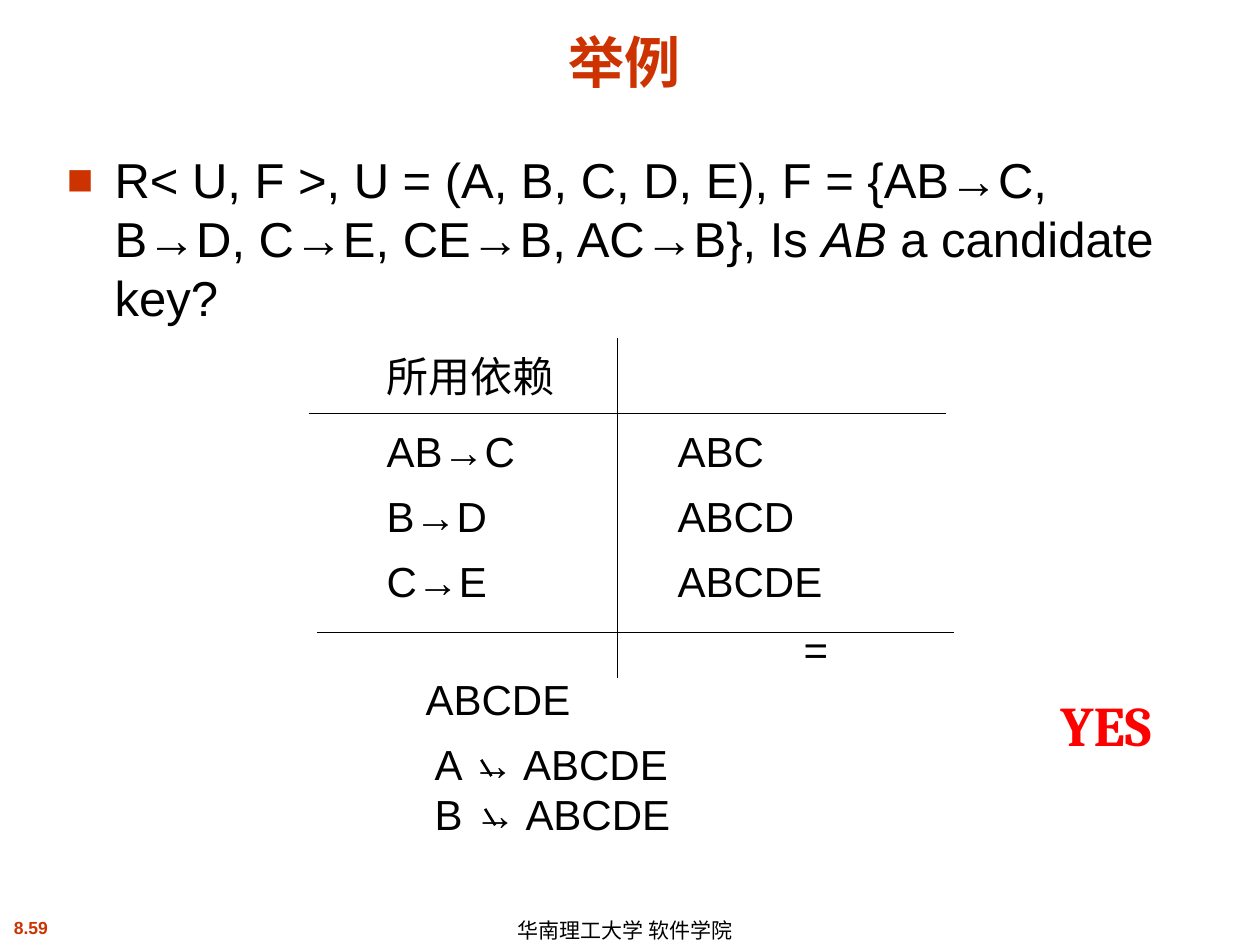
from lxml import etree
from pptx import Presentation
from pptx import util as u
from pptx.dml.color import RGBColor
from pptx.enum import shapes, text
from pptx.oxml.ns import qn

COLORS = {"accent": "CC3300", "ink": "000000", "answer": "FF0000"}


def color(name):
    return RGBColor.from_string(COLORS[name])


def place(shape, left, top, width, height):
    shape.left, shape.top = u.Inches(left), u.Inches(top)
    shape.width, shape.height = u.Inches(width), u.Inches(height)


def add_run(paragraph, words, size, ink="ink", font="Arial", bold=False, italic=False):
    run = paragraph.add_run()
    run.text = words
    run.font.size = u.Pt(size)
    run.font.name = font
    run.font.bold = bold
    run.font.italic = italic
    run.font.color.rgb = color(ink)


def set_indent(paragraph, left, first):
    properties = paragraph._p.get_or_add_pPr()
    properties.set("marL", str(u.Inches(left)))
    properties.set("indent", str(u.Inches(first)))
    return properties


def add_bullet(paragraph):
    properties = set_indent(paragraph, 0.38, -0.38)
    bullet_color = etree.SubElement(properties, qn("a:buClr"))
    etree.SubElement(bullet_color, qn("a:srgbClr"), val=COLORS["accent"])
    etree.SubElement(properties, qn("a:buSzPct"), val="90000")
    etree.SubElement(properties, qn("a:buFont"), typeface="Arial")
    etree.SubElement(properties, qn("a:buChar"), char="■")


def add_text_box(slide, bounds, lines, size, wrap=True, **style):
    """Add a text box with one paragraph per line and return its text frame."""
    frame = slide.shapes.add_textbox(*map(u.Inches, bounds)).text_frame
    frame.word_wrap = wrap
    for index, line in enumerate(lines):
        paragraph = frame.add_paragraph() if index else frame.paragraphs[0]
        add_run(paragraph, line, size, **style)
    return frame


def add_line(slide, start, end, width=0.75):
    points = [u.Inches(value) for value in (*start, *end)]
    connector = slide.shapes.add_connector(shapes.MSO_CONNECTOR.STRAIGHT, *points)
    connector.line.color.rgb = color("ink")
    connector.line.width = u.Pt(width)
    etree.SubElement(connector._element.spPr, qn("a:effectLst"))


def add_footer(slide):
    number = add_text_box(slide, (0, 7.23, 0.49, 0.27), ["8.59"], 10,
                          wrap=False, ink="accent", bold=True)
    number.paragraphs[0].alignment = text.PP_ALIGN.CENTER
    school = add_text_box(slide, (4.01, 7.25, 2.24, 0.25),
                          ["华南理工大学 软件学院"], 12, wrap=False)
    school.vertical_anchor = text.MSO_ANCHOR.MIDDLE
    school.paragraphs[0].line_spacing = 1.1


def fill_title(slide):
    title = slide.shapes.title
    place(title, 0.25, 0.13, 9.42, 0.67)
    title.text_frame.auto_size = text.MSO_AUTO_SIZE.NONE
    title.text_frame.vertical_anchor = text.MSO_ANCHOR.BOTTOM
    paragraph = title.text_frame.paragraphs[0]
    paragraph.alignment = text.PP_ALIGN.CENTER
    add_run(paragraph, "举例", 32, "accent", bold=True)


def fill_question(slide):
    body = slide.placeholders[1]
    place(body, 0.43, 1.14, 8.99, 1.07)
    body.text_frame.auto_size = text.MSO_AUTO_SIZE.NONE
    paragraph = body.text_frame.paragraphs[0]
    add_bullet(paragraph)
    paragraph.space_before = u.Pt(0)
    add_run(paragraph, "R< U, F >, U = (A, B, C, D, E), F = {AB→C, "
                       "B→D, C→E, CE→B, AC→B}, Is ", 28)
    add_run(paragraph, "AB", 28, italic=True)
    add_run(paragraph, " a candidate key?", 28)


def add_closure_steps(slide):
    # Rules separating header, steps and result
    add_line(slide, (2.45, 3.28), (7.51, 3.28))
    add_line(slide, (4.9, 2.68), (4.9, 5.38))
    add_line(slide, (2.52, 5.02), (7.57, 5.02))

    # Columns on one-inch tabs: dependency used, closure reached
    size = 24
    lines = ["所用依赖\t", "AB→C\t\tABC", "B→D\t\tABCD", "C→E\t\tABCDE",
             "\t\t\t\t= ABCDE"]
    frame = add_text_box(slide, (2.47, 2.73, 5.32, 2.94), lines, size)
    for paragraph, share in zip(frame.paragraphs, (0, 0.6, 0.35, 0.35, 0.4)):
        properties = set_indent(paragraph, 0.81, -0.31)
        properties.set("defTabSz", str(u.Inches(1)))
        paragraph.space_before = u.Pt(size * share)


def add_subset_check(slide):
    add_text_box(slide, (3.35, 5.81, 3.25, 0.91), ["A → ABCDE", "B → ABCDE"], 24)
    # Strokes that negate the arrows
    for left, top in ((3.82, 6.03), (3.85, 6.42)):
        add_line(slide, (left, top), (left + 0.08, top + 0.13), 1.5)


def main():
    presentation = Presentation()
    presentation.slide_width = u.Inches(10)
    presentation.slide_height = u.Inches(7.5)
    slide = presentation.slides.add_slide(presentation.slide_layouts[1])

    add_footer(slide)
    fill_title(slide)
    fill_question(slide)
    add_text_box(slide, (8.32, 5.43, 1.28, 0.64), ["YES"], 32,
                 ink="answer", font="Cambria", bold=True)
    add_closure_steps(slide)
    add_subset_check(slide)
    presentation.save("out.pptx")


if __name__ == "__main__":
    main()
